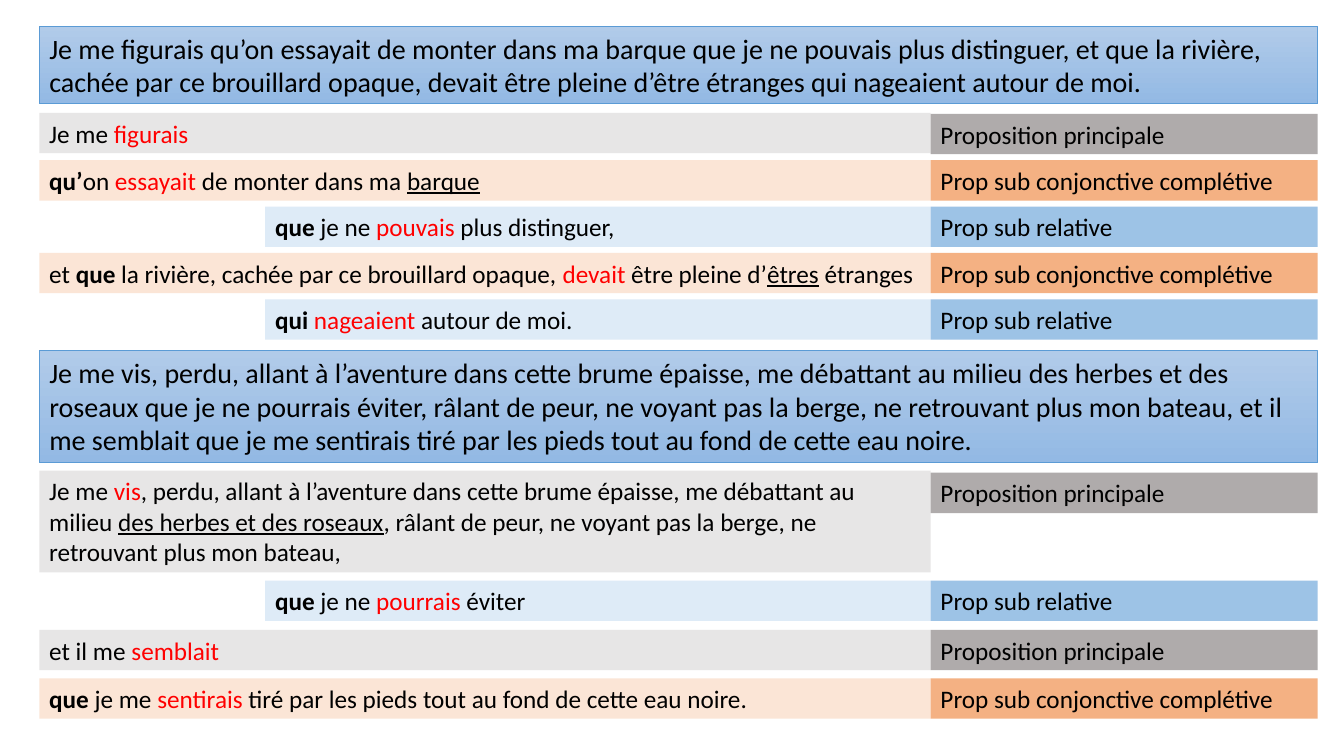
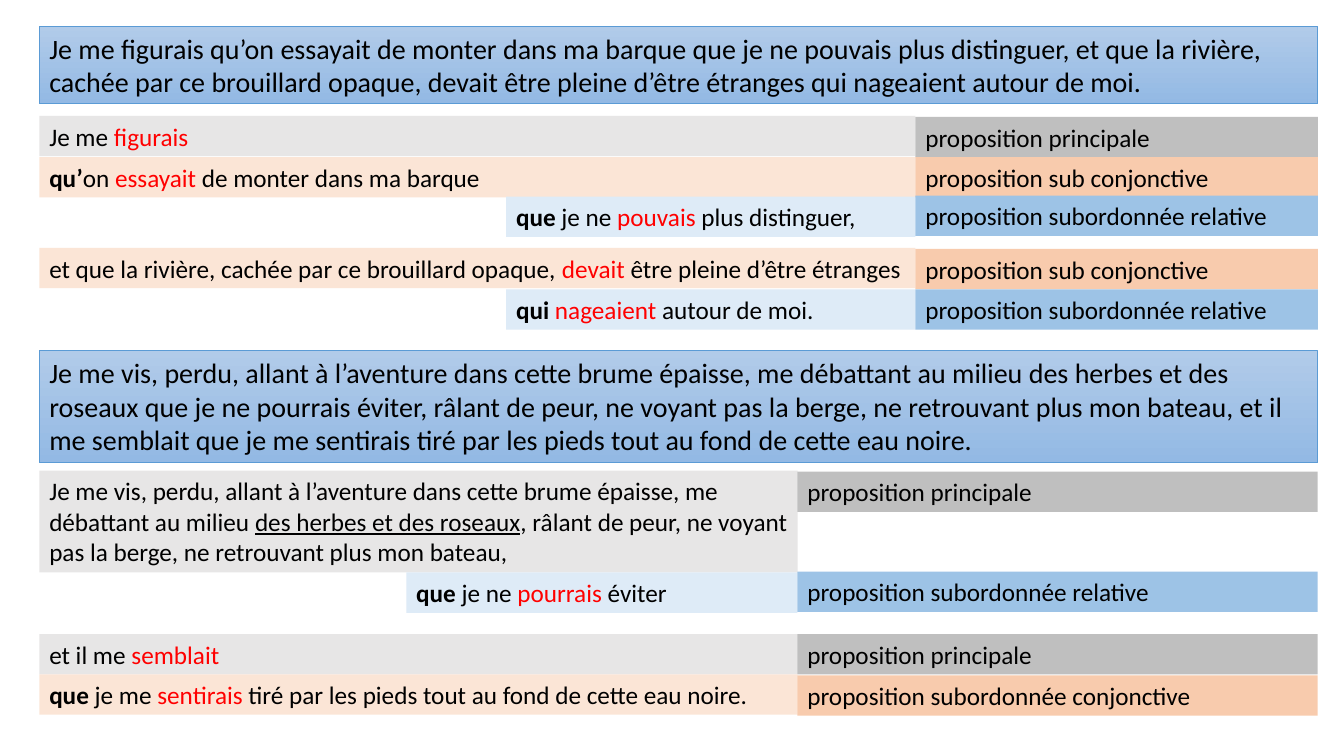
from pptx import Presentation
from pptx.dml.color import RGBColor
from pptx.enum import shapes, text
from pptx.util import Pt

PX = 9144
FONT = "Calibri"
LEFT, RIGHT = 39, 1307
ROW_HEIGHT = 40
COLOURS = {
    "text": "000000", "verb": "FF0000",
    "band_top": "B1CBE9", "band_bottom": "93B9E4", "band_line": "5B9BD5",
    "main": "E7E6E6", "conjunctive": "FBE5D6", "relative": "DEEBF7",
}
SENTENCES = [
    (26, 77, "Je me figurais qu’on essayait de monter dans ma barque que je ne pouvais plus distinguer, et que la rivière, cachée par ce brouillard opaque, devait être pleine d’être étranges qui nageaient autour de moi."),
    (348, 111, "Je me vis, perdu, allant à l’aventure dans cette brume épaisse, me débattant au milieu des herbes et des roseaux que je ne pourrais éviter, râlant de peur, ne voyant pas la berge, ne retrouvant plus mon bateau, et il me semblait que je me sentirais tiré par les pieds tout au fond de cette eau noire."),
]

PLAIN, BOLD, VERB, UNDERLINE = "plain", "bold", "verb", "underline"
FIGURAIS = [("Je me ", PLAIN), ("figurais", VERB)]
ESSAYAIT = [("qu’", BOLD), ("on ", PLAIN), ("essayait", VERB)]
POUVAIS = [("que", BOLD), (" je ne ", PLAIN), ("pouvais", VERB), (" plus distinguer,", PLAIN)]
NAGEAIENT = [("qui ", BOLD), ("nageaient", VERB), (" autour de moi.", PLAIN)]
PERDU = [
    (", perdu, allant à l’aventure dans cette brume épaisse, me débattant au milieu ", PLAIN),
    ("des herbes et des roseaux", UNDERLINE),
    (", râlant de peur, ne voyant pas la berge, ne retrouvant plus mon bateau,", PLAIN),
]
POURRAIS = [("que", BOLD), (" je ne ", PLAIN), ("pourrais", VERB), (" éviter", PLAIN)]
SEMBLAIT = [("et il me ", PLAIN), ("semblait", VERB)]
SENTIRAIS = [("que", BOLD), (" je me ", PLAIN), ("sentirais", VERB),
             (" tiré par les pieds tout au fond de cette eau noire.", PLAIN)]

SLIDES = [
    {
        "label_fills": {"main": "AFABAB", "conjunctive": "F4B183", "relative": "9DC3E6"},
        "labels": {"main": "Proposition principale",
                   "conjunctive": "Prop sub conjonctive complétive",
                   "relative": "Prop sub relative"},
        "groups": [
            {"split": 923, "indent": 263, "rows": [
                ("main", 112, 113, FIGURAIS),
                ("conjunctive", 159, 159,
                 ESSAYAIT + [(" de monter dans ma ", PLAIN), ("barque", UNDERLINE)]),
                ("relative", 205, 205, POUVAIS),
                ("conjunctive", 251, 251, [
                    ("et ", PLAIN), ("que", BOLD),
                    (" la rivière, cachée par ce brouillard opaque, ", PLAIN),
                    ("devait", VERB), (" être pleine d’", PLAIN),
                    ("êtres", UNDERLINE), (" étranges", PLAIN)]),
                ("relative", 297, 297, NAGEAIENT),
            ]},
            {"split": 923, "indent": 263, "rows": [
                ("main", 467, 469, [("Je me ", PLAIN), ("vis", VERB)] + PERDU),
                ("relative", 576, 576, POURRAIS),
                ("main", 625, 625, SEMBLAIT),
                ("conjunctive", 673, 673, SENTIRAIS),
            ]},
        ],
    },
    {
        "label_fills": {"main": "BFBFBF", "conjunctive": "F8CBAD", "relative": "9DC3E6"},
        "labels": {"main": "proposition principale",
                   "conjunctive": "proposition sub conjonctive",
                   "relative": "proposition subordonnée relative"},
        "groups": [
            {"split": 908, "indent": 502, "rows": [
                ("main", 115, 116, FIGURAIS),
                ("conjunctive", 156, 156, ESSAYAIT + [(" de monter dans ma barque", PLAIN)]),
                ("relative", 195, 194, POUVAIS),
                ("conjunctive", 246, 247, [
                    ("et que la rivière, cachée par ce brouillard opaque, ", PLAIN),
                    ("devait", VERB), (" être pleine d’être étranges", PLAIN)]),
                ("relative", 287, 287, NAGEAIENT),
            ]},
            {"split": 791, "indent": 403,
             "labels": {"conjunctive": "proposition subordonnée conjonctive"},
             "rows": [
                ("main", 467, 468, [("Je me vis", PLAIN)] + PERDU),
                ("relative", 568, 567, POURRAIS),
                ("main", 629, 629, SEMBLAIT),
                ("conjunctive", 669, 670, SENTIRAIS),
             ]},
        ],
    },
]


def colour(value):
    return RGBColor.from_string(value)


def add_box(page, left, top, right, height, spans, size=18, fill=None):
    box = page.shapes.add_shape(
        shapes.MSO_SHAPE.RECTANGLE,
        *(value * PX for value in (left, top, right - left, height)))
    box.shadow.inherit = False
    if fill:
        box.fill.solid()
        box.fill.fore_color.rgb = colour(fill)
        box.line.fill.background()
    frame = box.text_frame
    frame.word_wrap = True
    frame.auto_size = text.MSO_AUTO_SIZE.SHAPE_TO_FIT_TEXT
    frame.vertical_anchor = text.MSO_ANCHOR.TOP
    para = frame.paragraphs[0]
    para.alignment = text.PP_ALIGN.LEFT
    for words, style in spans:
        span = para.add_run()
        span.text = words
        span.font.name = FONT
        span.font.size = Pt(size)
        span.font.bold = style == BOLD
        span.font.underline = style == UNDERLINE
        span.font.color.rgb = colour(COLOURS["verb" if style == VERB else "text"])
    return box


def add_sentence(page, top, height, words):
    band = add_box(page, LEFT, top, RIGHT, height, [(words, PLAIN)], size=20)
    band.fill.gradient()
    band.fill.gradient_angle = 270
    for stop, name in zip(band.fill.gradient_stops, ("band_top", "band_bottom")):
        stop.color.rgb = colour(COLOURS[name])
    band.line.color.rgb = colour(COLOURS["band_line"])
    band.line.width = Pt(0.5)


def add_group(page, group, labels, label_fills):
    labels = {**labels, **group.get("labels", {})}
    split = group["split"]
    for kind, top, label_top, spans in group["rows"]:
        left = group["indent"] if kind == "relative" else LEFT
        height = 101 if PERDU[0] in spans else ROW_HEIGHT
        add_box(page, left, top, split, height, spans, fill=COLOURS[kind])
        add_box(page, split, label_top, RIGHT, ROW_HEIGHT,
                [(labels[kind], PLAIN)], fill=label_fills[kind])


def main():
    deck = Presentation()
    deck.slide_width, deck.slide_height = 1333 * PX, 750 * PX
    for content in SLIDES:
        page = deck.slides.add_slide(deck.slide_layouts[6])
        for sentence in SENTENCES:
            add_sentence(page, *sentence)
        for group in content["groups"]:
            add_group(page, group, content["labels"], content["label_fills"])
    deck.save("out.pptx")


if __name__ == "__main__":
    main()
